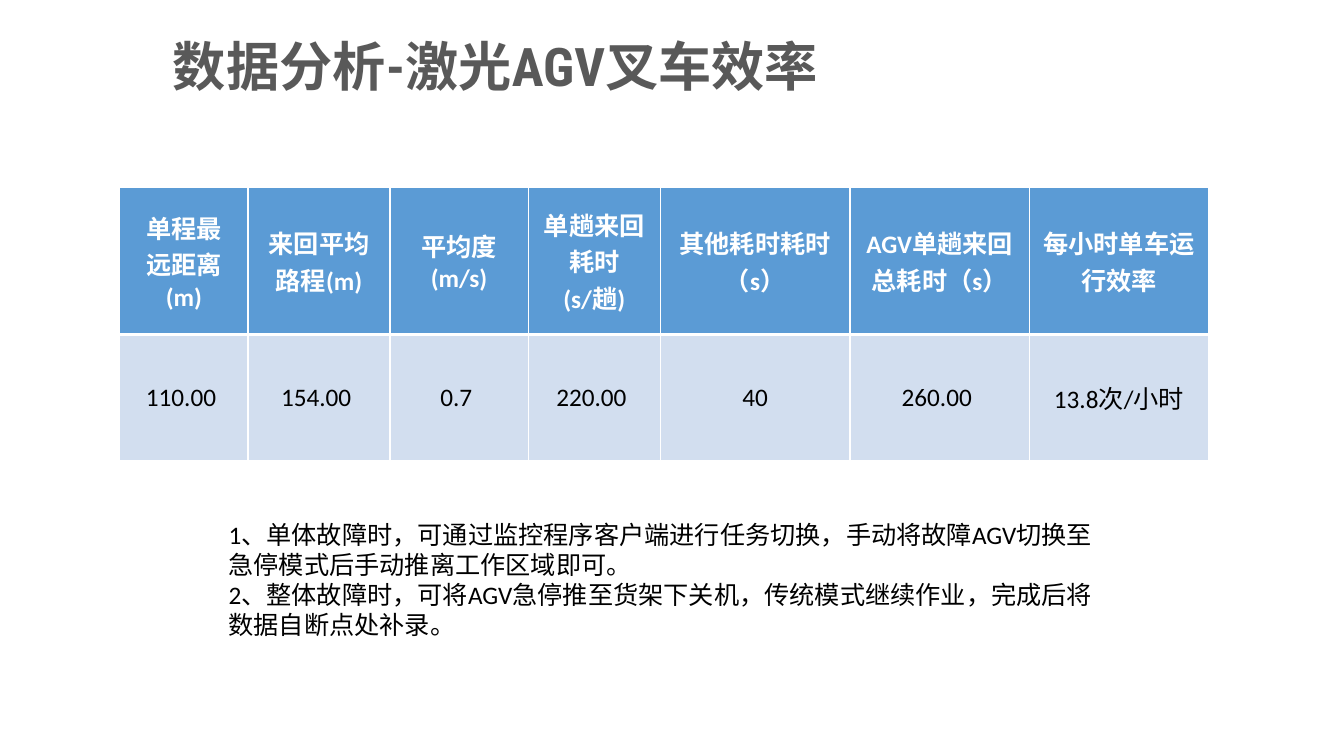
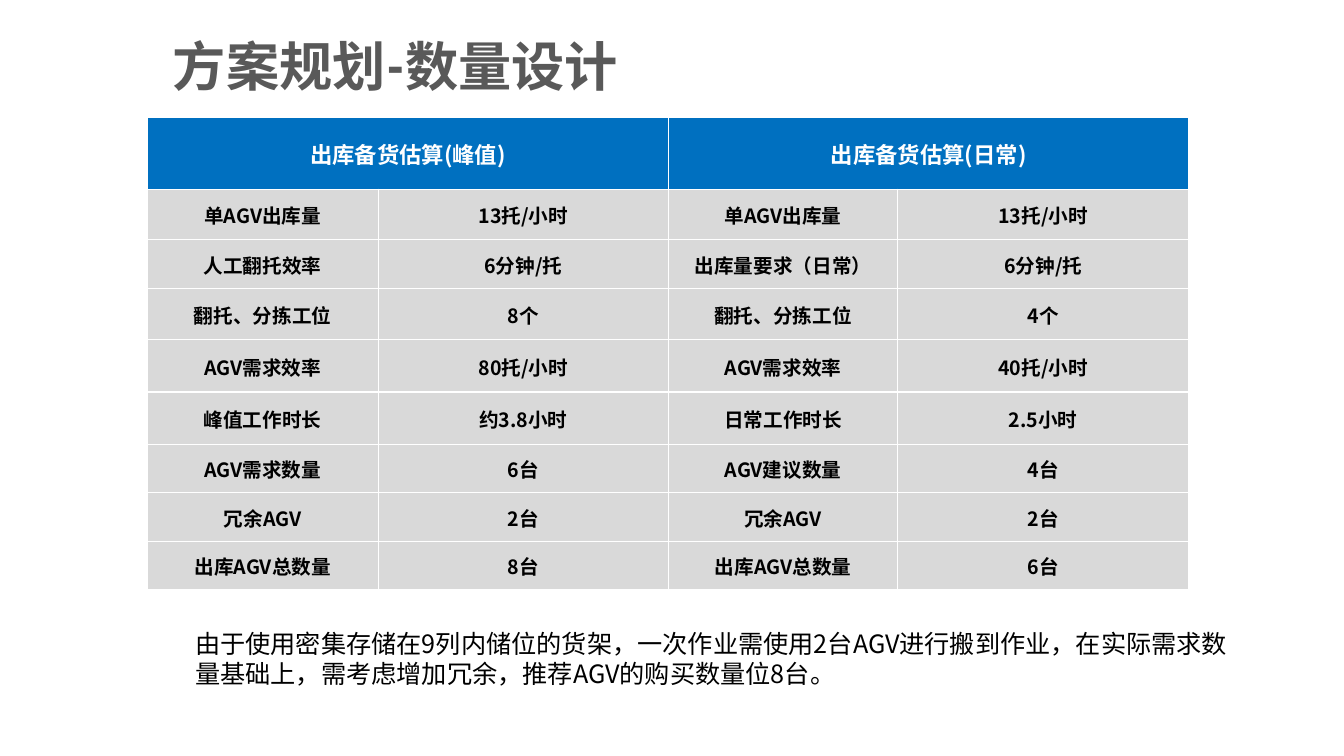
from lxml import etree
from pptx import Presentation
from pptx.dml.color import RGBColor
from pptx.enum.text import MSO_ANCHOR, PP_ALIGN
from pptx.oxml.ns import qn
from pptx.util import Cm, Pt

CENTER, LEFT = PP_ALIGN.CENTER, PP_ALIGN.LEFT
MIDDLE = MSO_ANCHOR.MIDDLE

# Shared style
WHITE, BLACK, TITLE_GREY = "FFFFFF", "000000", "595959"
SKY, PALE_SKY = "5B9BD5", "D2DEEF"
BLUE, LIGHT_GREY = "0070C0", "D9D9D9"
LATIN, CHINESE, HEADING = "Calibri", "Noto Sans CJK SC", "Roboto Condensed"
BLANK_LAYOUT = 6


def color(value):
    return RGBColor.from_string(value)


def write(frame, lines, font, size, ink, bold=False, align=LEFT, spacing=None):
    """Fill a text frame with one paragraph per line."""
    for index, line in enumerate(lines):
        para = frame.paragraphs[0] if index == 0 else frame.add_paragraph()
        para.text = line
        para.alignment = align
        para.line_spacing = spacing
        para.font.name = font
        para.font.size = Pt(size)
        para.font.bold = bold
        para.font.color.rgb = color(ink)
        style = para._p.pPr.find(qn("a:defRPr"))
        etree.SubElement(style, qn("a:ea")).set("typeface", CHINESE)


def add_text(page, box, lines, font, size, ink, bold=False, spacing=None):
    frame = page.shapes.add_textbox(*map(Cm, box)).text_frame
    frame.word_wrap = True
    write(frame, lines, font, size, ink, bold, spacing=spacing)


def add_title(page, text):
    add_text(page, (4.11, 0.74, 20.85, 1.88), [text], HEADING, 38, TITLE_GREY,
             bold=True, spacing=Pt(45))


def add_note(page, box, lines, font):
    add_text(page, box, lines, font, 18, BLACK, spacing=Pt(21.4))


def set_borders(cell, top=1, bottom=1):
    """Draw white borders, with widths in points."""
    properties = cell._tc.get_or_add_tcPr()
    widths = {"lnL": 1, "lnR": 1, "lnT": top, "lnB": bottom}
    for index, (side, width) in enumerate(widths.items()):
        line = etree.Element(qn(f"a:{side}"), w=str(Pt(width)))
        fill = etree.SubElement(line, qn("a:solidFill"))
        etree.SubElement(fill, qn("a:srgbClr")).set("val", WHITE)
        properties.insert(index, line)


def add_grid(page, left, top, widths, heights):
    """Add a plain table whose size follows from its columns and rows."""
    table = page.shapes.add_table(
        len(heights), len(widths), Cm(left), Cm(top),
        Cm(sum(widths)), Cm(sum(heights))).table
    table.horz_banding = False
    for column, width in zip(table.columns, widths):
        column.width = Cm(width)
    for row, height in zip(table.rows, heights):
        row.height = Cm(height)
    return table


def fill_cell(cell, text, fill, font, size, ink, bold, top=1, bottom=1):
    cell.fill.solid()
    cell.fill.fore_color.rgb = color(fill)
    cell.vertical_anchor = MIDDLE
    set_borders(cell, top, bottom)
    write(cell.text_frame, text.split("\n"), font, size, ink, bold, CENTER)


def add_efficiency_table(page, left, top):
    columns = [
        ("单程最\n远距离(m)", "110.00 ", 3.23),
        ("来回平均路程(m)", "154.00 ", 3.58),
        ("平均度(m/s)", "0.7 ", 3.48),
        ("单趟来回耗时(s/趟)", "220.00 ", 3.33),
        ("其他耗时耗时（s）", "40", 4.78),
        ("AGV单趟来回总耗时（s）", "260.00 ", 4.52),
        ("每小时单车运行效率", "13.8次/小时", 4.52),
    ]
    table = add_grid(page, left, top, [width for *_, width in columns], [3.71, 3.18])
    for index, (heading, value, _) in enumerate(columns):
        fill_cell(table.cell(0, index), heading, SKY, LATIN, 18, WHITE, True, bottom=3)
        fill_cell(table.cell(1, index), value, PALE_SKY, LATIN, 18, BLACK, False, top=3)


def add_quantity_table(page, left, top):
    headings = ["出库备货估算(峰值)", "出库备货估算(日常)"]
    rows = [
        ("单AGV出库量", "13托/小时", "单AGV出库量", "13托/小时"),
        ("人工翻托效率", "6分钟/托", "出库量要求（日常）", "6分钟/托"),
        ("翻托、分拣工位", "8个", "翻托、分拣工位", "4个"),
        ("AGV需求效率", "80托/小时", "AGV需求效率", "40托/小时"),
        ("峰值工作时长", "约3.8小时", "日常工作时长", "2.5小时"),
        ("AGV需求数量", "6台", "AGV建议数量", "4台"),
        ("冗余AGV", "2台", "冗余AGV", "2台"),
        ("出库AGV总数量", "8台", "出库AGV总数量", "6台"),
    ]
    heights = [1.8, 1.27, 1.22, 1.3, 1.32, 1.32, 1.22, 1.22, 1.22]
    table = add_grid(page, left, top, [5.82, 7.32, 5.77, 7.34], heights)
    for index, heading in enumerate(headings):
        cell = table.cell(0, 2 * index)
        cell.merge(table.cell(0, 2 * index + 1))
        fill_cell(cell, heading, BLUE, CHINESE, 16, WHITE, True)
    for row, values in enumerate(rows, start=1):
        for column, value in enumerate(values):
            fill_cell(table.cell(row, column), value, LIGHT_GREY, CHINESE, 14, BLACK, True)
    for cell in table.iter_cells():
        cell.margin_left = cell.margin_right = cell.margin_top = Cm(0.03)
        cell.margin_bottom = 0


def build_efficiency_page(page):
    add_title(page, "数据分析-激光AGV叉车效率")
    add_efficiency_table(page, 3.02, 4.72)
    add_note(page, (5.51, 12.98, 22.48, 3.33), [
        "1、单体故障时，可通过监控程序客户端进行任务切换，手动将故障AGV切换至急停模式后手动推离工作区域即可。",
        "2、整体故障时，可将AGV急停推至货架下关机，传统模式继续作业，完成后将数据自断点处补录。",
    ], LATIN)


def build_quantity_page(page):
    add_title(page, "方案规划-数量设计")
    add_quantity_table(page, 3.71, 2.97)
    add_note(page, (4.67, 15.72, 26.64, 1.8), [
        "由于使用密集存储在9列内储位的货架，一次作业需使用2台AGV进行搬到作业，在实际需求数量基础上，"
        "需考虑增加冗余，推荐AGV的购买数量位8台。",
    ], CHINESE)


def main():
    deck = Presentation()
    deck.slide_width, deck.slide_height = Cm(33.87), Cm(19.05)
    for build in (build_efficiency_page, build_quantity_page):
        build(deck.slides.add_slide(deck.slide_layouts[BLANK_LAYOUT]))
    deck.save("out.pptx")


if __name__ == "__main__":
    main()
